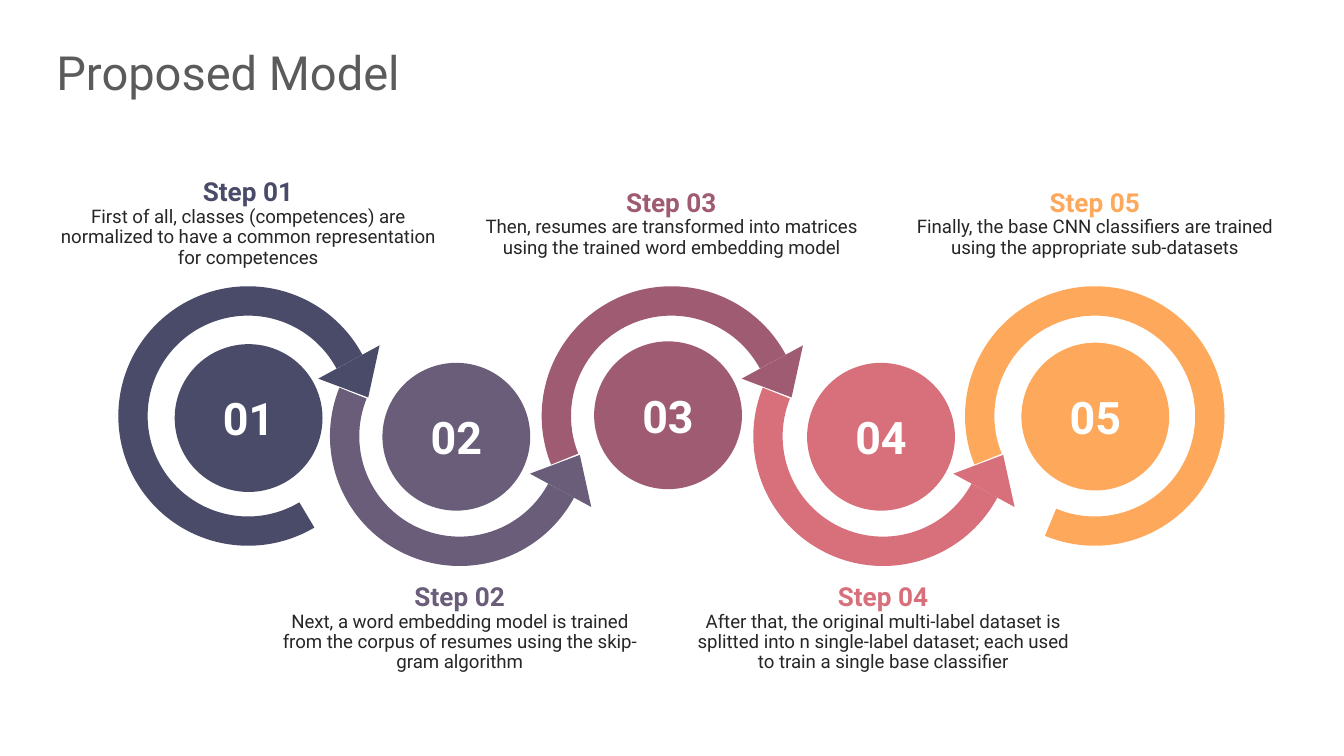
from dataclasses import dataclass

from pptx import Presentation
from pptx.dml.color import RGBColor
from pptx.enum import shapes, text
from pptx.util import Pt


@dataclass(frozen=True)
class Theme:
    font: str = "Roboto"
    title: str = "5B5B5B"
    body: str = "262626"
    number: str = "FFFFFF"
    title_size: float = 25.2
    number_size: float = 24
    heading_size: float = 14
    body_size: float = 10


@dataclass(frozen=True)
class Step:
    color: str
    body: str
    arc_start: float
    arc_end: float
    disc_x: float
    disc_y: float
    caption_height: float


THEME = Theme()
ARC_SIZE = 139
ARC_THICKNESS = 0.113
DISC_SIZE = 79.2
HEAD_WIDTH, HEAD_HEIGHT = 37.4, 21.6
HEAD_X, HEAD_Y, HEAD_ANGLE = 110, 39.2, 28.5
CAPTION_WIDTH = 203.8
FIRST_LEFT, STEP_PITCH = 63.4, 113.4
UPPER_TOP, LOWER_TOP = 153.4, 164.2
UPPER_CAPTION, LOWER_CAPTION = -33.5, 172.4

STEPS = [
    Step("494B69", "First of all, classes (competences) are normalized to have "
         "a common representation for competences", 35.56, 199.08, 30.2, 31, 48.2),
    Step("695D7A", "Next, a word embedding model is trained from the corpus of "
         "resumes using the skip-gram algorithm", 94.81, 199.08, 28.1, 30.2, 48.2),
    Step("9F5B72", "Then, resumes are transformed into matrices using the trained "
         "word embedding model", 94.81, 199.08, 28.1, 29.5, 36.7),
    Step("D8707C", "After that, the original multi-label dataset is splitted into n "
         "single-label dataset; each used to train a single base classifier",
         94.81, 199.08, 28.8, 30.2, 48.2),
    Step("FDA85A", "Finally, the base CNN classifiers are trained using the "
         "appropriate sub-datasets", 94.81, 67.55, 30.2, 30.2, 36.7),
]


def add_run(paragraph, words, size, color, bold=False):
    run = paragraph.add_run()
    run.text = words
    run.font.name = THEME.font
    run.font.size = Pt(size)
    run.font.bold = bold
    run.font.color.rgb = RGBColor.from_string(color)


def add_filled_shape(slide, kind, left, top, width, height, color):
    shape = slide.shapes.add_shape(kind, Pt(left), Pt(top), Pt(width), Pt(height))
    shape.shadow.inherit = False
    shape.fill.solid()
    shape.fill.fore_color.rgb = RGBColor.from_string(color)
    shape.line.fill.background()
    return shape


def add_text_box(slide, left, top, width, height):
    box = slide.shapes.add_textbox(Pt(left), Pt(top), Pt(width), Pt(height))
    frame = box.text_frame
    frame.word_wrap = True
    frame.vertical_anchor = text.MSO_ANCHOR.MIDDLE
    frame.margin_left = frame.margin_right = 0
    frame.margin_top = frame.margin_bottom = 0
    return frame.paragraphs[0]


def add_title(slide, left, top, width, height):
    paragraph = add_text_box(slide, left, top, width, height)
    add_run(paragraph, "Proposed Model", THEME.title_size, THEME.title)


def add_arc(slide, step, left, top, lower, has_head):
    arc = add_filled_shape(slide, shapes.MSO_SHAPE.BLOCK_ARC,
                           left, top, ARC_SIZE, ARC_SIZE, step.color)
    for index, value in enumerate((step.arc_start, step.arc_end, ARC_THICKNESS)):
        arc.adjustments[index] = value
    if lower:
        arc.rotation = 180
        arc._element.spPr.xfrm.set("flipH", "1")
    if has_head:
        head_y = ARC_SIZE - HEAD_Y - HEAD_HEIGHT if lower else HEAD_Y
        head = add_filled_shape(slide, shapes.MSO_SHAPE.ISOSCELES_TRIANGLE,
                                left + HEAD_X, top + head_y,
                                HEAD_WIDTH, HEAD_HEIGHT, step.color)
        head.rotation = HEAD_ANGLE if lower else 180 - HEAD_ANGLE


def add_disc(slide, step, left, top, label):
    disc = add_filled_shape(slide, shapes.MSO_SHAPE.OVAL, left + step.disc_x,
                            top + step.disc_y, DISC_SIZE, DISC_SIZE, step.color)
    disc.text_frame.vertical_anchor = text.MSO_ANCHOR.MIDDLE
    paragraph = disc.text_frame.paragraphs[0]
    paragraph.alignment = text.PP_ALIGN.CENTER
    add_run(paragraph, label, THEME.number_size, THEME.number, bold=True)


def add_caption(slide, step, left, top, label, lower):
    middle = top + (LOWER_CAPTION if lower else UPPER_CAPTION)
    paragraph = add_text_box(slide, left + (ARC_SIZE - CAPTION_WIDTH) / 2,
                             middle - step.caption_height / 2,
                             CAPTION_WIDTH, step.caption_height)
    paragraph.alignment = text.PP_ALIGN.CENTER
    paragraph.line_spacing = 0.9
    add_run(paragraph, f"Step {label}", THEME.heading_size, step.color, bold=True)
    paragraph.add_line_break()
    add_run(paragraph, step.body, THEME.body_size, THEME.body)


def add_step(slide, step, left, top, number, lower):
    label = f"{number:02d}"
    add_arc(slide, step, left, top, lower, has_head=number < len(STEPS))
    add_disc(slide, step, left, top, label)
    add_caption(slide, step, left, top, label, lower)


def main():
    presentation = Presentation()
    presentation.slide_width = Pt(720)
    presentation.slide_height = Pt(405)
    slide = presentation.slides.add_slide(presentation.slide_layouts[6])
    add_title(slide, 30.2, 22.3, 658.8, 32.4)
    for index, step in enumerate(STEPS):
        lower = index % 2 == 1
        add_step(slide, step, FIRST_LEFT + index * STEP_PITCH,
                 LOWER_TOP if lower else UPPER_TOP, index + 1, lower)
    presentation.save("out.pptx")


if __name__ == "__main__":
    main()
